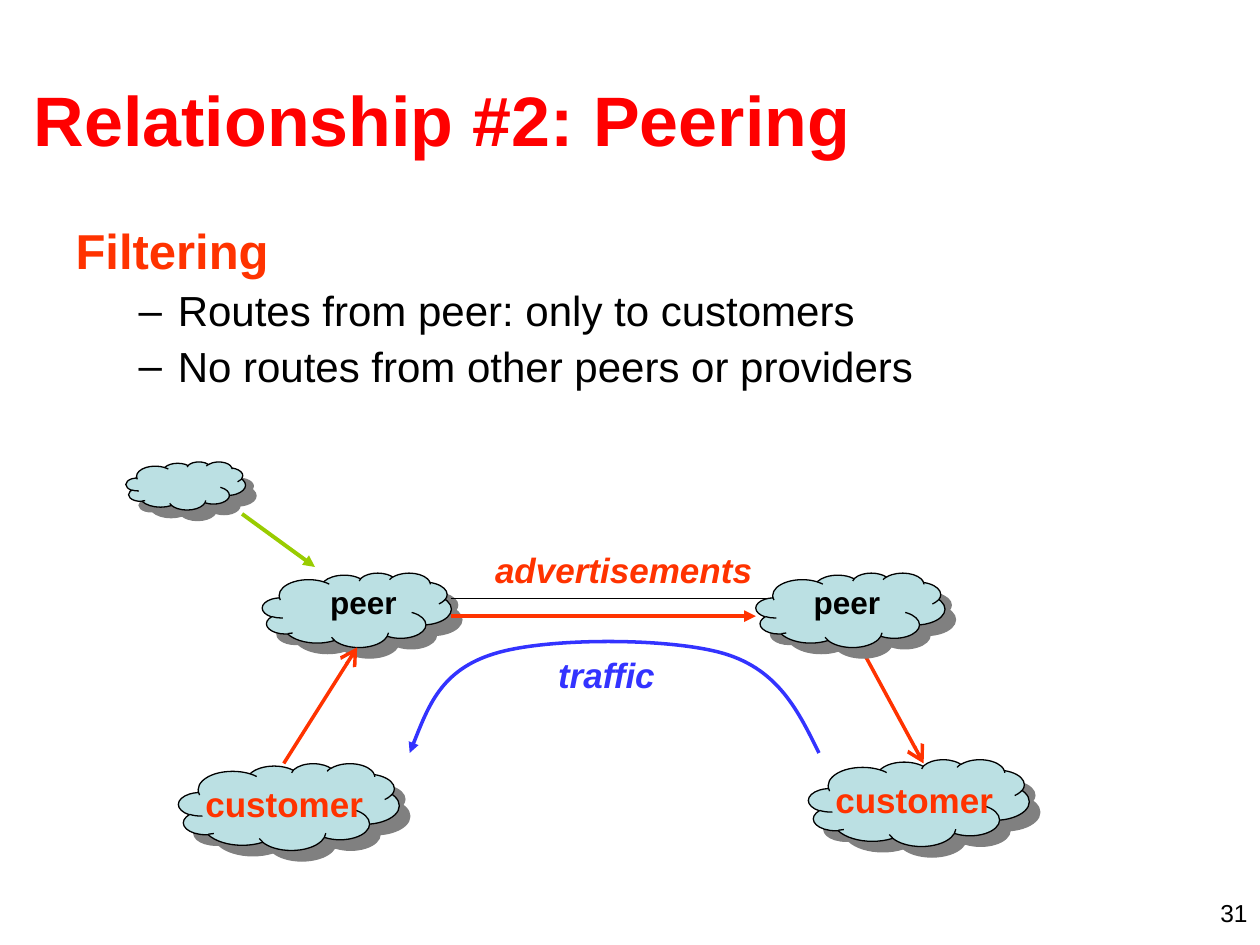
from lxml.etree import SubElement
from pptx import Presentation
from pptx.dml.color import RGBColor
from pptx.enum.shapes import MSO_CONNECTOR, MSO_SHAPE
from pptx.enum.text import MSO_ANCHOR, MSO_AUTO_SIZE, PP_ALIGN
from pptx.oxml.ns import qn
from pptx.util import Cm, Pt

HUES = {"title": "FF0000", "red": "FF3300", "blue": "3333FF",
        "green": "99CC00", "cloud": "BBE0E3", "shade": "808080",
        "black": "000000"}


def hue(name):
    return RGBColor.from_string(HUES[name])


def write(para, text, size, color="black", bold=False, italic=False,
          align=PP_ALIGN.LEFT):
    para.alignment = align
    run = para.add_run()
    run.text = text
    font = run.font
    font.name, font.size = "Arial", Pt(size)
    font.bold, font.italic = bold, italic
    font.color.rgb = hue(color)


def label(slide, box, text, size, wrap=False, **style):
    frame = slide.shapes.add_textbox(*map(Cm, box)).text_frame
    frame.word_wrap = wrap
    if not wrap:
        frame.auto_size = MSO_AUTO_SIZE.SHAPE_TO_FIT_TEXT
    write(frame.paragraphs[0], text, size, **style)


def place(shape, box):
    shape.left, shape.top, shape.width, shape.height = map(Cm, box)


def pen(shape, color, width, end=None, kind="triangle", size="med"):
    """Style a line and give one end an arrowhead."""
    shape.line.color.rgb = hue(color)
    shape.line.width = Pt(width)
    if end:
        SubElement(shape.line._get_or_add_ln(), qn(f"a:{end}End"),
                   type=kind, w=size, len=size)


def link(slide, ends, color, width, **tip):
    line = slide.shapes.add_connector(MSO_CONNECTOR.STRAIGHT, *map(Cm, ends))
    pen(line, color, width, **tip)
    SubElement(line._element.spPr, qn("a:effectLst"))


def cloud(slide, box):
    shape = slide.shapes.add_shape(MSO_SHAPE.CLOUD, *map(Cm, box))
    shape.fill.solid()
    shape.fill.fore_color.rgb = hue("cloud")
    pen(shape, "black", 0.75)
    # Hard shadow to the lower right
    fx = SubElement(shape._element.spPr, qn("a:effectLst"))
    shade = SubElement(fx, qn("a:outerShdw"), dist=str(Pt(8.5)),
                       dir="2700000", algn="ctr", rotWithShape="0")
    SubElement(shade, qn("a:srgbClr"), val=HUES["shade"])


def curve(slide, points, color, width, **tip):
    """Draw cubic curves: a start, then three points for each piece."""
    start, *rest = [(Cm(x), Cm(y)) for x, y in points]
    outline = slide.shapes.build_freeform(*start)
    outline.add_line_segments(rest, close=False)
    shape = outline.convert_to_shape()
    route = shape._element.find(".//" + qn("a:path"))
    steps = route.findall(qn("a:lnTo"))
    for i in range(0, len(steps), 3):
        bend = SubElement(route, qn("a:cubicBezTo"))
        for step in steps[i:i + 3]:
            bend.append(step[0])
            route.remove(step)
    shape.fill.background()
    shape.shadow.inherit = False
    pen(shape, color, width, **tip)


def head(slide, box):
    title = slide.shapes.title
    place(title, box)
    frame = title.text_frame
    frame.auto_size = MSO_AUTO_SIZE.NONE
    frame.vertical_anchor = MSO_ANCHOR.MIDDLE
    write(frame.paragraphs[0], "Relationship #2: Peering", 40,
          color="title", bold=True)


def points(slide, box):
    body = slide.placeholders[1]
    place(body, box)
    frame = body.text_frame
    frame.auto_size = MSO_AUTO_SIZE.NONE
    rows = ["Filtering", "Routes from peer: only to customers",
            "No routes from other peers or providers"]
    for i, text in enumerate(rows):
        para = frame.paragraphs[0] if i == 0 else frame.add_paragraph()
        para.line_spacing = 0.9
        para.space_before = Pt(6 if i else 0)
        props = para._p.get_or_add_pPr()
        if i == 0:
            margin, indent = 0.95, -0.95
            SubElement(props, qn("a:buNone"))
            style = dict(size=28, color="red", bold=True)
        else:
            para.level = 1
            margin, indent = 2.06, -0.79
            SubElement(props, qn("a:buChar"), char="–")
            style = dict(size=24)
        props.set("marL", str(Cm(margin)))
        props.set("indent", str(Cm(indent)))
        write(para, text, **style)


def scheme(slide, left, top):
    def at(x, y, *size):
        return (left + x, top + y, *size)

    def span(x1, y1, x2, y2):
        return at(x1, y1) + at(x2, y2)

    mid, low = 2.24, 6.08  # tops of the peer and customer rows
    foot = mid + 1.5
    peers = [(2.75, 1.11), (12.7, 0.91)]  # cloud left, label offset
    users = [(1.06, low), (13.76, 6)]

    # Clouds
    cloud(slide, at(0, 0, 2.41, 0.97))
    cloud(slide, at(peers[0][0], mid, 3.81, 1.5))

    # Routes passed along
    barb = dict(kind="arrow", size="lg")
    link(slide, span(4.66, foot, 3.18, low), "red", 2, end="head", **barb)
    link(slide, span(14.81, foot, 16.08, low), "red", 2, end="tail", **barb)
    link(slide, span(6.55, 3.11, 12.7, 3.11), "red", 2.25, end="tail")
    link(slide, span(2.34, 1.05, 3.81, 2.12), "green", 2.25, end="tail")
    label(slide, at(7.19, 1.63, 5.69, 1.12), "advertisements", 20,
          color="red", bold=True, italic=True)

    # Traffic going back
    bow = [(5.72, 5.87), (6.05, 5.04), (6.35, 4.2), (7.42, 3.87),
           (8.46, 3.54), (10.97, 3.54), (12.07, 3.87), (13.16, 4.2),
           (13.56, 5.04), (13.97, 5.87)]
    curve(slide, [at(*spot) for spot in bow], "blue", 2, end="head")
    label(slide, at(8.46, foot, 2.46, 1.12), "traffic", 20,
          color="blue", bold=True, italic=True)

    # Right peer, customers and the link between the peers
    cloud(slide, at(peers[1][0], mid, 3.81, 1.5))
    for x, y in users:
        cloud(slide, at(x, y, 4.45, 1.75))
        label(slide, at(x + 0.29, y + 0.25, 3.75, 1.12), "customer", 20,
              color="red", bold=True)
    link(slide, span(6.55, 2.75, 12.9, 2.75), "black", 0.75)
    for x, shift in peers:
        label(slide, at(x + shift, mid + 0.08, 1.85, 1.02), "peer", 18,
              bold=True, align=PP_ALIGN.CENTER)


def main():
    deck = Presentation()
    deck.slide_width, deck.slide_height = Cm(25.4), Cm(19.05)
    slide = deck.slides.add_slide(deck.slide_layouts[1])
    head(slide, (0.43, 0.79, 24.33, 3.18))
    points(slide, (1.27, 4.45, 22.86, 3.71))
    scheme(slide, 2.54, 9.31)
    # Page number
    label(slide, (19.48, 17.98, 5.92, 0.64), "31", 14, wrap=True,
          align=PP_ALIGN.RIGHT)
    deck.save("out.pptx")


if __name__ == "__main__":
    main()
